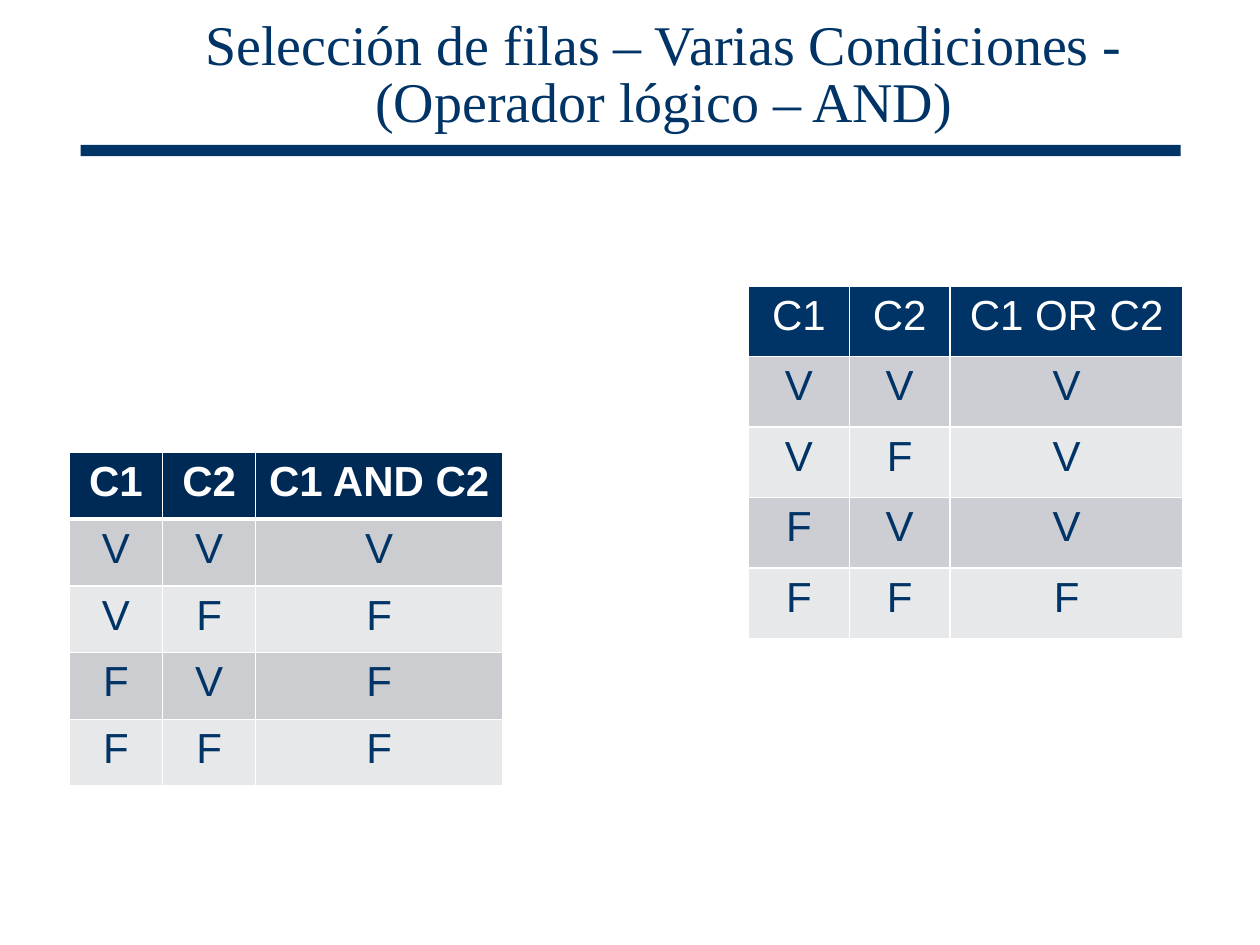
from itertools import product

from lxml import etree
from pptx import Presentation
from pptx.dml.color import RGBColor
from pptx.enum import shapes, text
from pptx.oxml.ns import qn
from pptx.util import Inches, Pt

COLORS = {
    "navy": "003366",
    "dark_navy": "002A56",
    "white": "FFFFFF",
    "and_odd": "CCCDD1",
    "and_even": "E7E8E9",
    "or_odd": "CCCED3",
    "or_even": "E7E8EA",
}


def color(name):
    return RGBColor.from_string(COLORS[name])


def truth_rows(operator):
    return [["V" if value else "F" for value in (c1, c2, operator(c1, c2))]
            for c1, c2 in product((True, False), repeat=2)]


class SlideBuilder:
    title_font, title_size = "Times New Roman", 32
    table_font, table_size = "Arial", 24

    def __init__(self, slide):
        self.slide = slide

    def add_run(self, p, content, font, size, name, bold=False):
        r = p.add_run()
        r.text = content
        r.font.name, r.font.size, r.font.bold = font, Pt(size), bold
        r.font.color.rgb = color(name)

    def bar(self, left, top, width, height):
        sp = self.slide.shapes.add_shape(
            shapes.MSO_SHAPE.RECTANGLE,
            Inches(left), Inches(top), Inches(width), Inches(height))
        sp.shadow.inherit = False
        sp.fill.solid()
        sp.fill.fore_color.rgb = color("navy")
        sp.line.fill.background()

    def title(self, content, left, top, width, height):
        sp = self.slide.shapes.title
        sp.left, sp.top = Inches(left), Inches(top)
        sp.width, sp.height = Inches(width), Inches(height)
        tf = sp.text_frame
        tf.word_wrap = True
        tf.auto_size = text.MSO_AUTO_SIZE.NONE
        tf.vertical_anchor = text.MSO_ANCHOR.MIDDLE
        p = tf.paragraphs[0]
        p.alignment = text.PP_ALIGN.CENTER
        p.line_spacing = 0.85
        self.add_run(p, content, self.title_font, self.title_size, "navy")

    def borders(self, cell, bottom):
        """Draw white cell edges, 1 pt except for the given bottom width."""
        tc_pr = cell._tc.get_or_add_tcPr()
        widths = {"a:lnL": 1, "a:lnR": 1, "a:lnT": 1, "a:lnB": bottom}
        for index, (tag, width) in enumerate(widths.items()):
            ln = etree.Element(qn(tag), w=str(Pt(width)))
            fill = etree.SubElement(ln, qn("a:solidFill"))
            etree.SubElement(fill, qn("a:srgbClr"), val=COLORS["white"])
            tc_pr.insert(index, ln)

    def table(self, rows, left, top, col_widths, row_height, fills,
              bold_header=False, header_rule=1):
        """Add a table; fills names the header, odd and even row colours."""
        table = self.slide.shapes.add_table(
            len(rows), len(col_widths), Inches(left), Inches(top),
            Inches(sum(col_widths)), Inches(row_height * len(rows))).table
        for column, width in zip(table.columns, col_widths):
            column.width = Inches(width)
        header_fill, odd_fill, even_fill = fills
        for i, row in enumerate(rows):
            table.rows[i].height = Inches(row_height)
            header = i == 0
            fill = header_fill if header else odd_fill if i % 2 else even_fill
            for j, content in enumerate(row):
                cell = table.cell(i, j)
                cell.fill.solid()
                cell.fill.fore_color.rgb = color(fill)
                self.borders(cell, header_rule if header else 1)
                p = cell.text_frame.paragraphs[0]
                p.alignment = text.PP_ALIGN.CENTER
                self.add_run(p, content, self.table_font, self.table_size,
                             "white" if header else "navy",
                             header and bold_header)


def main():
    prs = Presentation()
    prs.slide_width, prs.slide_height = Inches(10), Inches(7.5)
    s = SlideBuilder(prs.slides.add_slide(prs.slide_layouts[5]))
    s.bar(0.64, 1.15, 8.73, 0.09)
    s.title("Selección de filas – Varias Condiciones - "
            "(Operador lógico – AND)", 1.23, 0.14, 8.08, 0.94)
    s.table([["C1", "C2", "C1 AND C2"]] + truth_rows(lambda a, b: a and b),
            0.55, 3.59, (0.74, 0.74, 1.96), 0.53,
            ("dark_navy", "and_odd", "and_even"),
            bold_header=True, header_rule=3)
    s.table([["C1", "C2", "C1 OR C2"]] + truth_rows(lambda a, b: a or b),
            5.94, 2.27, (0.8, 0.8, 1.85), 0.56,
            ("navy", "or_odd", "or_even"))
    prs.save("out.pptx")


if __name__ == "__main__":
    main()
